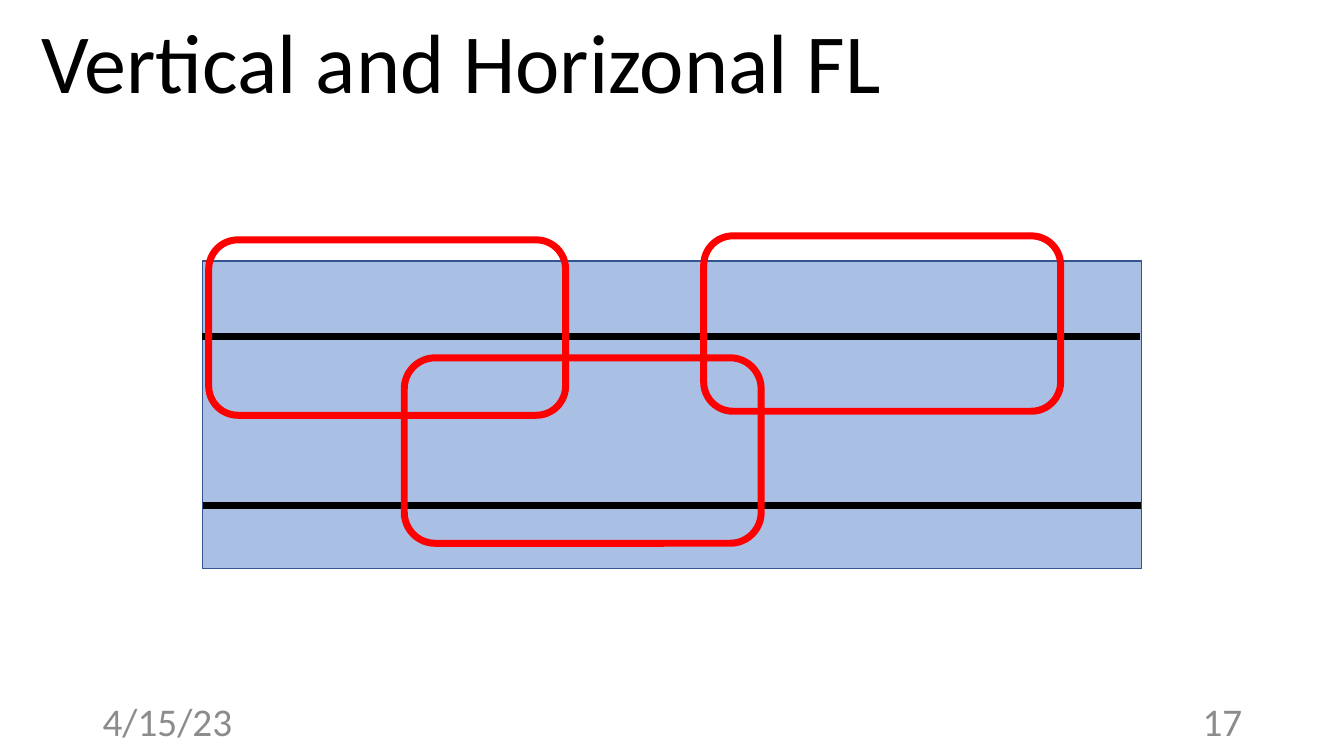
from pptx import Presentation
from pptx.dml.color import RGBColor
from pptx.enum.shapes import MSO_CONNECTOR, MSO_SHAPE
from pptx.enum.text import MSO_ANCHOR, PP_ALIGN
from pptx.oxml.ns import qn
from pptx.util import Pt
from lxml import etree

RECT, ROUND = MSO_SHAPE.RECTANGLE, MSO_SHAPE.ROUNDED_RECTANGLE
STRAIGHT = MSO_CONNECTOR.STRAIGHT
TOP, MIDDLE = MSO_ANCHOR.TOP, MSO_ANCHOR.MIDDLE
LEFT, RIGHT = PP_ALIGN.LEFT, PP_ALIGN.RIGHT

PX = 9144  # 100 px to the inch
SIZE = (1333, 750)
FONT = "Calibri"

# text, box, points, colour, anchor, alignment, wrap
TEXTS = [
    ("Vertical and Horizonal FL", (31, 4, 882, 111), 60, "000000", TOP, LEFT, False),
    ("4/15/23", (92, 695, 300, 40), 28, "8C8C8C", MIDDLE, LEFT, True),
    ("17", (942, 695, 300, 40), 28, "8C8C8C", MIDDLE, RIGHT, True),
]
DATA = (201, 259, 931, 305)
SPLITS = [(200, 334), (201, 502)]  # left end of each dividing line
PARTY_W = 354
PARTIES = [(207, 238, 174), (401, 355, 184), (698, 234, 174)]  # left, top, height


def emu(*lengths):
    return [n * PX for n in lengths]


def color(code):
    return RGBColor.from_string(code)


def stroke(item, code, width):
    item.line.color.rgb = color(code)
    item.line.width = Pt(width)


def add_box(kind, box, code, width):
    shape = slide.shapes.add_shape(kind, *emu(*box))
    shape.shadow.inherit = False
    shape.fill.background()
    stroke(shape, code, width)
    return shape


def add_text(text, box, size, code, anchor, align, wrap):
    frame = slide.shapes.add_textbox(*emu(*box)).text_frame
    frame.text = text
    frame.word_wrap = wrap
    frame.vertical_anchor = anchor
    para = frame.paragraphs[0]
    para.alignment = align
    font = para.runs[0].font
    font.name, font.size = FONT, Pt(size)
    font.color.rgb = color(code)


def add_split(x, y):
    line = slide.shapes.add_connector(STRAIGHT, *emu(x, y, x + DATA[2], y))
    stroke(line, "000000", 5)
    etree.SubElement(line._element.spPr, qn("a:effectLst"))


deck = Presentation()
deck.slide_width, deck.slide_height = emu(*SIZE)
slide = deck.slides.add_slide(deck.slide_layouts[6])

table = add_box(RECT, DATA, "325491", 1)
table.fill.solid()
table.fill.fore_color.rgb = color("4472C4")
tint = table._element.spPr.find(qn("a:solidFill")).find(qn("a:srgbClr"))
etree.SubElement(tint, qn("a:alpha"), val="45000")

for split in SPLITS:
    add_split(*split)
for entry in TEXTS:
    add_text(*entry)
for x, y, height in PARTIES:
    add_box(ROUND, (x, y, PARTY_W, height), "FF0000", 5)

deck.save("out.pptx")
